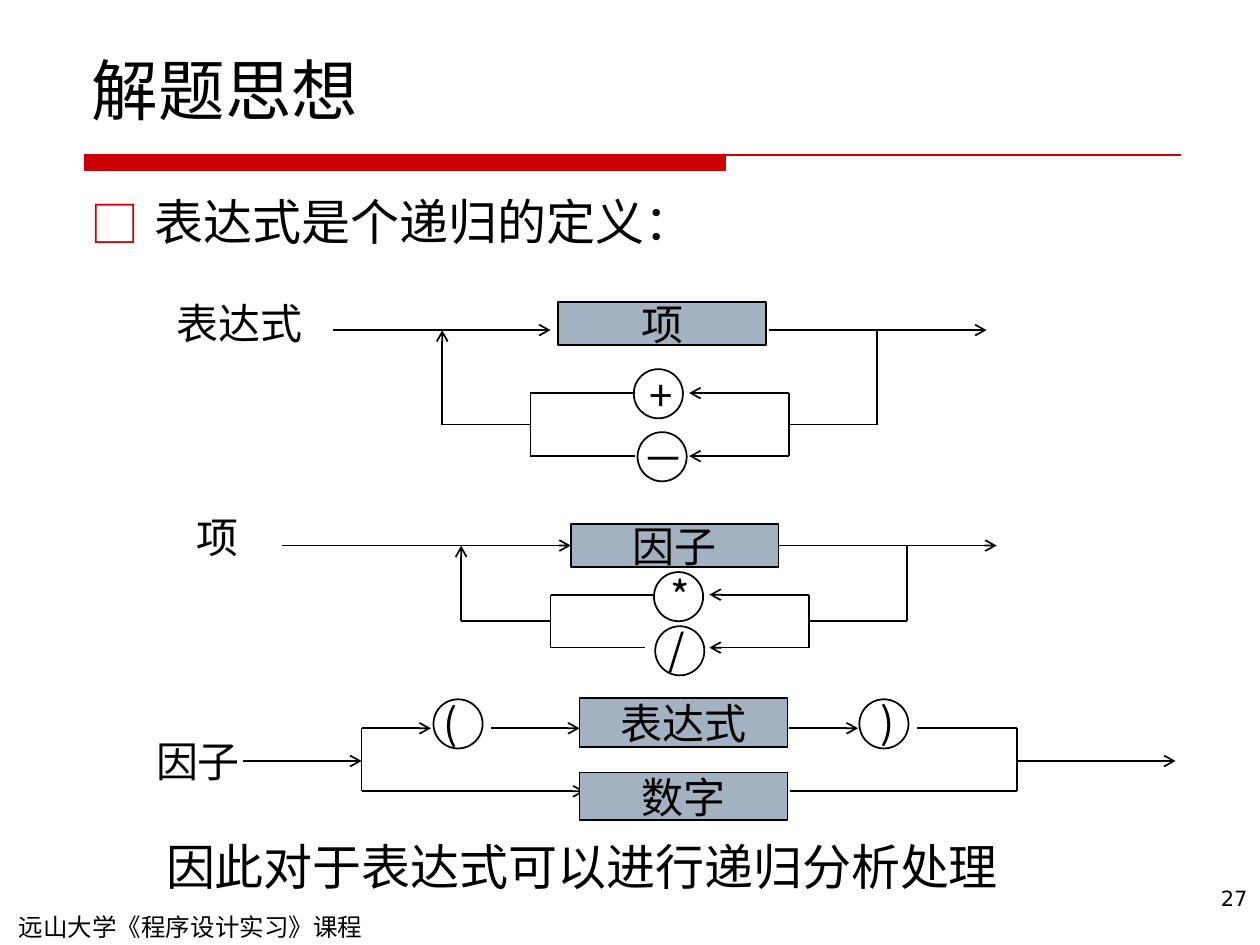
import pptx
import pptx.util
import pptx.dml.color
import pptx.enum.shapes
import pptx.enum.text
import pptx.oxml
import pptx.oxml.ns
import lxml.etree
from dataclasses import dataclass


@dataclass(frozen=True)
class Theme:
    ink: str = "000000"
    accent: str = "CC0000"
    box: str = "A3B2C1"
    cjk: str = "Noto Sans CJK SC"
    serif: str = "Times New Roman"
    sans: str = "DejaVu Sans"
    title: int = 38
    body: int = 28
    node: int = 24
    footer: int = 14
    number: int = 12
    stroke: float = 1
    rule: float = 0.75


T = Theme()
COLS, ROWS = 100, 75
UNIT = pptx.util.Inches(10) / COLS
CIRCLE, BOX_W, LABEL_H = 3.9, 16.5, 5

TITLE = "解题思想"
BULLET = "表达式是个递归的定义："

TEXTS = [
    ("远山大学《程序设计实习》课程", (0.5, 71.9, 49.5, 3.4), T.footer, T.serif, "LEFT"),
    ("27", (78.6, 69.8, 21.4, 5.2), T.number, T.sans, "RIGHT"),
    ("因此对于表达式可以进行递归分析处理", (12.2, 65.9, 71.6, 5.7), T.body, T.serif, "LEFT"),
]

LABELS = [
    ("表达式", 13, 23.1, 17.3),
    ("项", 14.6, 40.1, 17.3),
    ("因子", 11.4, 57.9, 9.4),
]

BOXES = [
    ("项", 44.3, 24, 3.4),
    ("因子", 45.3, 41.6, 3.4),
    ("表达式", 46, 55.4, 3.9),
    ("数字", 46, 61.3, 3.8),
]

# Each symbol: text, circle left and top, label left and top.
SYMBOLS = [
    ("+", 50.3, 29.3, 50.6, 28.8),
    ("－", 50.6, 34.3, 50, 33.8),
    ("*", 51.9, 45.4, 52.2, 44.8),
    ("/", 52, 49.7, 52.1, 49),
    ("(", 34.4, 55.5, 34.2, 54.9),
    (")", 68.2, 55.5, 68.9, 54.8),
]

LOOPS = [
    dict(y=26.2, gap=5, step=5, entry=(26.4, 43.7), leave=(61, 78.3),
         up=35.1, left=42.1, stops=(50.4, 50.4), tip=54.7, right=62.6, down=69.6),
    dict(y=43.3, gap=3.9, step=4.2, entry=(22.4, 45.3), leave=(61.8, 79.1),
         up=36.6, left=43.7, stops=(52, 51.2), tip=56.3, right=64.2, down=72),
]

TOP, MID, LOW = 57.8, 60.4, 62.8
FORK, JOIN = 28.7, 80.7
FACTOR_ARROWS = [
    (19.3, MID, FORK, MID),
    (FORK, TOP, 34.2, TOP),
    (39, TOP, 46, TOP),
    (62.6, TOP, 68.1, TOP),
    (FORK, LOW, 46.4, LOW),
    (JOIN, MID, 93.3, MID),
]
FACTOR_LINES = [
    (FORK, TOP, FORK, LOW),
    (JOIN, TOP, 72.8, TOP),
    (JOIN, TOP, JOIN, LOW),
    (JOIN, LOW, 62.7, LOW),
]


def u(n):
    return pptx.util.Emu(round(n * UNIT))


def rgb(value):
    return pptx.dml.color.RGBColor.from_string(value)


def child(parent, tag, **attrs):
    return lxml.etree.SubElement(parent, pptx.oxml.ns.qn(tag), **attrs)


def write(sp, text, size, font, align="LEFT", anchor="TOP", wrap=True):
    tf = sp.text_frame
    tf.word_wrap = wrap
    tf.auto_size = pptx.enum.text.MSO_AUTO_SIZE.NONE
    tf.vertical_anchor = pptx.enum.text.MSO_ANCHOR[anchor]
    p = tf.paragraphs[0]
    p.text = text
    p.alignment = pptx.enum.text.PP_ALIGN[align]
    p.font.size = pptx.util.Pt(size)
    p.font.color.rgb = rgb(T.ink)
    p.font.name = font
    props = p._p.get_or_add_pPr().find(pptx.oxml.ns.qn("a:defRPr"))
    child(props, "a:ea", typeface=T.cjk)
    return p


def place(sp, x, y, w, h):
    sp.left, sp.top, sp.width, sp.height = u(x), u(y), u(w), u(h)


def add_text(s, text, area, size, font, align="LEFT"):
    write(s.shapes.add_textbox(*map(u, area)), text, size, font, align)


def add_node(s, kind, x, y, w, h, fill=None):
    sp = s.shapes.add_shape(pptx.enum.shapes.MSO_SHAPE[kind], u(x), u(y), u(w), u(h))
    sp.shadow.inherit = False
    if fill:
        sp.fill.solid()
        sp.fill.fore_color.rgb = rgb(fill)
    else:
        sp.fill.background()
    sp.line.color.rgb = rgb(T.ink)
    sp.line.width = pptx.util.Pt(T.stroke)
    return sp


def add_line(s, x1, y1, x2, y2, arrow=False):
    c = s.shapes.add_connector(pptx.enum.shapes.MSO_CONNECTOR.STRAIGHT,
                               u(x1), u(y1), u(x2), u(y2))
    c.line.color.rgb = rgb(T.ink)
    c.line.width = pptx.util.Pt(T.stroke)
    if arrow:
        child(c.line._get_or_add_ln(), "a:tailEnd", type="arrow")
    child(c._element.spPr, "a:effectLst")


def add_loop(s, y, gap, step, entry, leave, up, left, stops, tip, right, down):
    first, last = y + gap, y + gap + step
    mid = (first + last) / 2
    for x1, x2 in (entry, leave):
        add_line(s, x1, y, x2, y, True)
    add_line(s, down, y, down, mid)
    add_line(s, down, mid, right, mid)
    add_line(s, up, mid, up, y, True)
    add_line(s, left, mid, up, mid)
    for x in (left, right):
        add_line(s, x, first, x, last)
    for row, stop in zip((first, last), stops):
        add_line(s, right, row, tip, row, True)
        add_line(s, stop, row, left, row)


def add_rule(s):
    x, y, bar, end, h = 6.7, 12.3, 57.6, 93.7, 1.2
    fb = s.shapes.build_freeform(u(x), u(y))
    fb.add_line_segments([(u(bar), u(y)), (u(bar), u(y + h)), (u(x), u(y + h))])
    fb.move_to(u(x), u(y))
    fb.add_line_segments([(u(end), u(y))], close=False)
    sp = fb.convert_to_shape()
    sp.shadow.inherit = False
    sp.fill.solid()
    sp.fill.fore_color.rgb = rgb(T.accent)
    sp.line.color.rgb = rgb(T.accent)
    sp.line.width = pptx.util.Pt(T.rule)


def add_bullet(p):
    props = p._p.get_or_add_pPr()
    indent = u(5.1)
    props.set("marL", str(indent))
    props.set("indent", str(-indent))
    fonts = props.find(pptx.oxml.ns.qn("a:defRPr"))
    color = lxml.etree.Element(pptx.oxml.ns.qn("a:buClr"))
    child(color, "a:srgbClr", val=T.accent)
    face = lxml.etree.Element(pptx.oxml.ns.qn("a:buFont"), typeface=T.cjk)
    char = lxml.etree.Element(pptx.oxml.ns.qn("a:buChar"), char="□")
    for item in (color, face, char):
        fonts.addprevious(item)


def main():
    prs = pptx.Presentation()
    prs.slide_width, prs.slide_height = u(COLS), u(ROWS)
    s = prs.slides.add_slide(prs.slide_layouts[1])
    title, body = s.placeholders
    place(title, 6.3, 3.3, 87.5, 7.4)
    write(title, TITLE, T.title, T.serif, anchor="BOTTOM")
    place(body, 6.2, 14.7, 87.5, 54.3)
    p = write(body, BULLET, T.body, T.serif)
    p.space_before = pptx.util.Pt(3.5)
    add_bullet(p)
    add_rule(s)
    for item in TEXTS:
        add_text(s, *item)
    for text, x, y, w in LABELS:
        add_text(s, text, (x, y, w, LABEL_H), T.node, T.cjk)
    for loop in LOOPS:
        add_loop(s, **loop)
    for ends in FACTOR_ARROWS:
        add_line(s, *ends, arrow=True)
    for ends in FACTOR_LINES:
        add_line(s, *ends)
    for text, x, y, h in BOXES:
        sp = add_node(s, "RECTANGLE", x, y, BOX_W, h, T.box)
        write(sp, text, T.node, T.cjk, "CENTER", "MIDDLE", False)
    for text, x, y, label_x, label_y in SYMBOLS:
        add_node(s, "OVAL", x, y, CIRCLE, CIRCLE)
        add_text(s, text, (label_x, label_y, CIRCLE, LABEL_H), T.node, T.cjk)
    prs.save("out.pptx")


if __name__ == "__main__":
    main()
